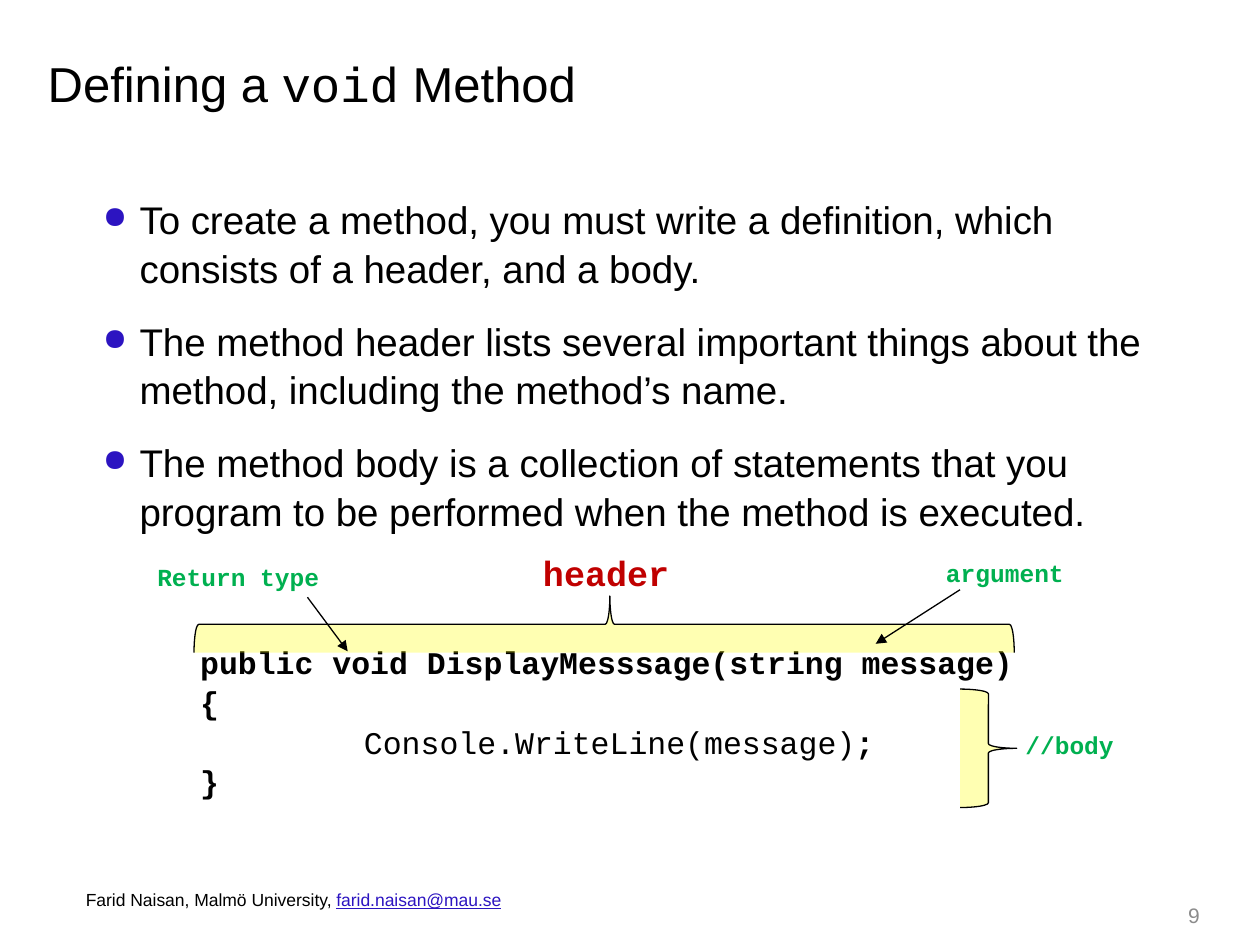
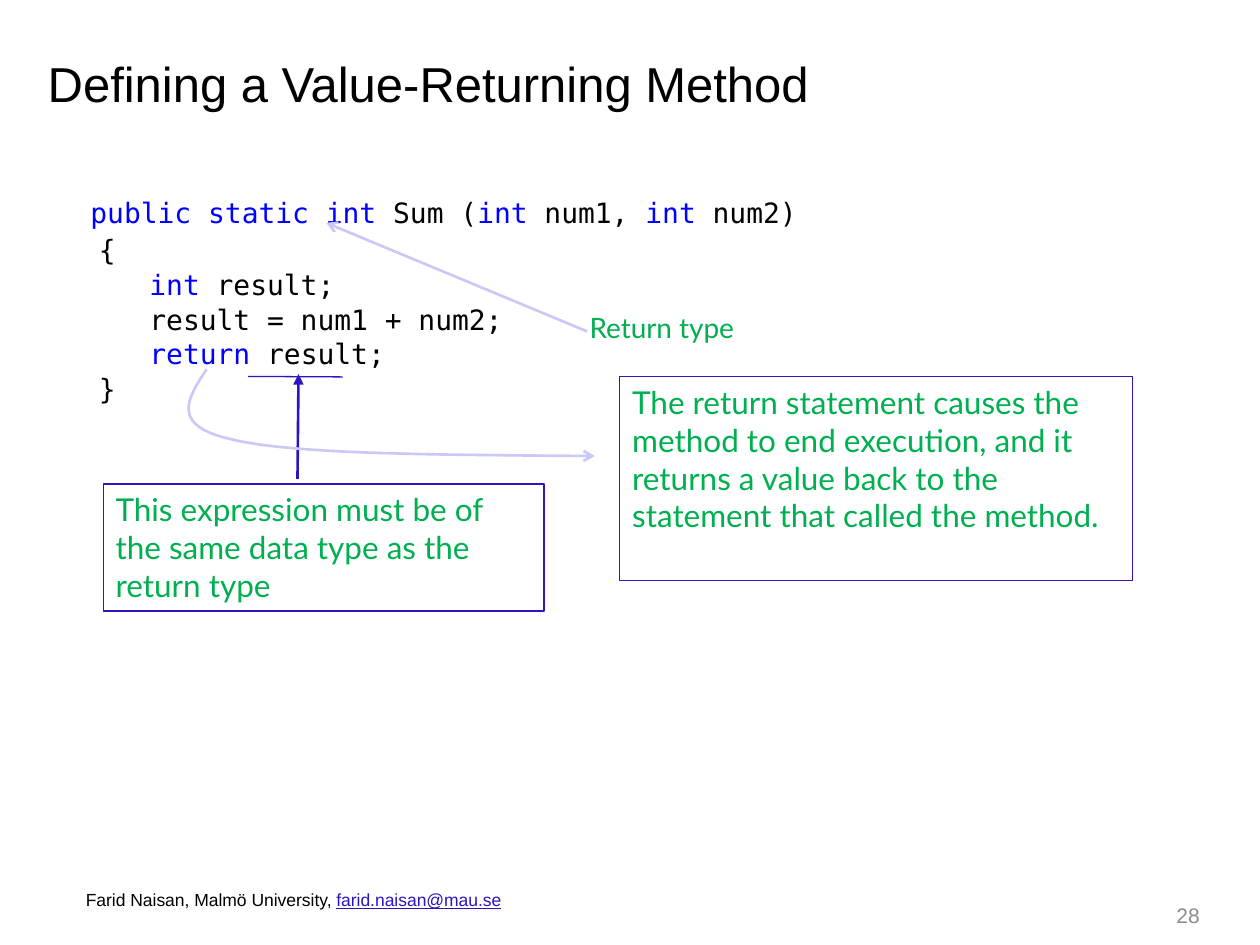
"""Build two lecture slides on defining methods, with annotated code."""
import dataclasses

import lxml.etree
import pptx
import pptx.dml.color
import pptx.enum.shapes
import pptx.enum.text
import pptx.oxml.ns
import pptx.util

Pt = pptx.util.Pt
RGB = pptx.dml.color.RGBColor.from_string
qn = pptx.oxml.ns.qn
ALIGN = pptx.enum.text.PP_ALIGN
ANCHOR = pptx.enum.text.MSO_ANCHOR
SHAPE = pptx.enum.shapes.MSO_SHAPE
STRAIGHT = pptx.enum.shapes.MSO_CONNECTOR.STRAIGHT


@dataclasses.dataclass(frozen=True)
class Theme:
    black: str = "000000"
    accent: str = "2C14C1"
    pale: str = "CAC8F6"
    green: str = "00B050"
    red: str = "C00000"
    keyword: str = "0000FF"
    gray: str = "8C8C8C"
    yellow: str = "FFFF00"
    sans: str = "Arial"
    code: str = "Courier New"
    mono: str = "DejaVu Sans Mono"
    note: str = "Lato"
    title_size: float = 28
    body_size: float = 22
    header_size: float = 20
    code_size: float = 18
    listing_size: float = 16
    label_size: float = 14
    number_size: float = 12
    footer_size: float = 10
    thin: float = 0.75
    thick: float = 1.5


theme = Theme()


def write_text(shape, paragraphs, font, size, color, bold=False, spacing=1.0, align=ALIGN.LEFT, anchor=ANCHOR.TOP):
    """Fill a shape with paragraphs of (text, font changes) runs."""
    frame = shape.text_frame
    frame.word_wrap = True
    frame.vertical_anchor = anchor
    for index, runs in enumerate(paragraphs):
        paragraph = frame.paragraphs[0] if index == 0 else frame.add_paragraph()
        paragraph.alignment = align
        paragraph.line_spacing = spacing
        paragraph.font.name = font
        paragraph.font.size = Pt(size)
        paragraph.font.bold = bold
        paragraph.font.color.rgb = RGB(color)
        for text, changes in runs:
            run = paragraph.add_run()
            run.text = text
            for name, value in changes.items():
                if name == "color":
                    run.font.color.rgb = RGB(value)
                else:
                    setattr(run.font, name, value)
    return frame


def style_line(shape, color, width, arrow=None):
    """Set the line of a shape or connector, without shadow."""
    shape.line.color.rgb = RGB(color)
    shape.line.width = Pt(width)
    properties = shape._element.spPr
    if arrow:
        lxml.etree.SubElement(properties.find(qn("a:ln")), qn("a:tailEnd"), type=arrow)
    if properties.find(qn("a:effectLst")) is None:
        lxml.etree.SubElement(properties, qn("a:effectLst"))


presentation = pptx.Presentation()
presentation.slide_width = Pt(720)
presentation.slide_height = Pt(540)

titles = [
    ("9", [("Defining a ", {}), ("void", {"name": theme.code}), (" Method", {})]),
    ("28", [("Defining a Value-Returning Method", {})]),
]
footer = [
    ("Farid Naisan, Malmö University, ", {}),
    ("farid.naisan@mau.se", {"color": theme.accent, "underline": True}),
]
slides = []
for number, title in titles:
    slide = presentation.slides.add_slide(presentation.slide_layouts[6])
    box = slide.shapes.add_textbox(Pt(20.2), Pt(27.4), Pt(672.5), Pt(39.6))
    write_text(box, [title], theme.sans, theme.title_size, theme.black, anchor=ANCHOR.MIDDLE)
    box = slide.shapes.add_textbox(Pt(639.4), Pt(508.3), Pt(53.3), Pt(28.8))
    write_text(box, [[(number, {})]], theme.sans, theme.number_size, theme.gray,
               align=ALIGN.RIGHT, anchor=ANCHOR.MIDDLE)
    box = slide.shapes.add_textbox(Pt(29.5), Pt(501.1), Pt(276.5), Pt(22.3))
    write_text(box, [footer], theme.sans, theme.footer_size, theme.black,
               align=ALIGN.CENTER, anchor=ANCHOR.BOTTOM)
    slides.append(slide)
void_slide, value_slide = slides

points = [
    "To create a method, you must write a definition, which consists of a header, and a body.",
    "The method header lists several important things about the method, including the method’s name.",
    "The method body is a collection of statements that you program to be performed when the method is executed.",
]
box = void_slide.shapes.add_textbox(Pt(51.8), Pt(107.3), Pt(617), Pt(195))
frame = write_text(box, [[(point, {})] for point in points], theme.sans, theme.body_size, theme.black, spacing=1.05)
for paragraph in frame.paragraphs:
    paragraph.space_after = Pt(14)
    properties = paragraph._p.get_or_add_pPr()
    properties.set("marL", str(Pt(20.9)))
    properties.set("indent", str(-Pt(20.9)))
    bullet_color = lxml.etree.Element(qn("a:buClr"))
    lxml.etree.SubElement(bullet_color, qn("a:srgbClr"), val=theme.accent)
    bullet_size = lxml.etree.Element(qn("a:buSzPct"), val="80000")
    bullet = lxml.etree.Element(qn("a:buChar"), char="●")
    default_font = properties.find(qn("a:defRPr"))
    for element in (bullet_color, bullet_size, bullet):
        default_font.addprevious(element)

method = [
    [("public void DisplayMesssage(string message)", {})],
    [("{", {})],
    [("\tConsole.WriteLine(message)", {"bold": False}), (";\t", {}),
     ("//body", {"size": Pt(theme.label_size), "color": theme.green})],
    [("}", {})],
]
box = void_slide.shapes.add_textbox(Pt(107.3), Pt(362.9), Pt(597.6), Pt(94.3))
frame = write_text(box, method, theme.code, theme.code_size, theme.black, bold=True, spacing=1.05)
tabs = lxml.etree.Element(qn("a:tabLst"))
for position in (93.6, 471.6):
    lxml.etree.SubElement(tabs, qn("a:tab"), pos=str(Pt(position)), algn="l")
frame.paragraphs[2]._p.pPr.find(qn("a:defRPr")).addprevious(tabs)

labels = [
    ("argument", 533.5, 314.6, 146.2, 24.5, theme.label_size, theme.green, ALIGN.LEFT),
    ("header", 286.6, 310.3, 119.5, 31.7, theme.header_size, theme.red, ALIGN.CENTER),
    ("Return type", 82.8, 316.8, 146.2, 24.5, theme.label_size, theme.green, ALIGN.LEFT),
]
for text, left, top, width, height, size, color, align in labels:
    box = void_slide.shapes.add_textbox(Pt(left), Pt(top), Pt(width), Pt(height))
    write_text(box, [[(text, {})]], theme.code, size, color, bold=True, spacing=1.05, align=align)

braces = [
    (329, 122.4, 32.4, 468.7, 270, 0.507),
    (548.6, 393.8, 32.4, 67.7, 0, 0.5),
]
for left, top, width, height, rotation, tip in braces:
    brace = void_slide.shapes.add_shape(SHAPE.RIGHT_BRACE, Pt(left), Pt(top), Pt(width), Pt(height))
    brace.rotation = rotation
    brace.adjustments[0] = 0.083
    brace.adjustments[1] = tip
    brace.fill.solid()
    brace.fill.fore_color.rgb = RGB(theme.yellow)
    fill_color = brace._element.spPr.find(qn("a:solidFill")).find(qn("a:srgbClr"))
    lxml.etree.SubElement(fill_color, qn("a:alpha"), val="30000")
    style_line(brace, theme.black, theme.thin)

listing = [
    (14.45, [("public static int", True), (" Sum (", False), ("int", True),
             (" num1, ", False), ("int", True), (" num2)", False)]),
    (19.26, [("{", False)]),
    (48.16, [("int ", True), ("result;", False)]),
    (48.16, [("result = num1 + num2;", False)]),
    (48.16, [("return ", True), ("result;", False)]),
    (19.26, [("}", False)]),
]
lines = [[(text, {"color": theme.keyword} if keyword else {}) for text, keyword in runs] for _, runs in listing]
box = value_slide.shapes.add_textbox(Pt(30.2), Pt(99.4), Pt(656), Pt(384.5))
frame = write_text(box, lines, theme.mono, theme.listing_size, theme.black, spacing=1.03)
frame.margin_top = Pt(11.5)
frame.paragraphs[0].space_after = Pt(1.9)
for paragraph, (indent, _) in zip(frame.paragraphs, listing):
    paragraph._p.pPr.set("marL", str(Pt(indent)))
    paragraph._p.pPr.set("indent", "0")

box = value_slide.shapes.add_textbox(Pt(329.8), Pt(174.2), Pt(109.4), Pt(26.6))
write_text(box, [[("Return type", {})]], theme.note, theme.listing_size, theme.green)

notes = [
    ("This expression must be of the same data type as the return type", 59, 276.5, 252, 72.7),
    ("The return statement causes the method to end execution, and it returns a value back to "
     "the statement that called the method.", 354.2, 215.3, 293, 116.6),
]
for text, left, top, width, height in notes:
    note = value_slide.shapes.add_shape(SHAPE.RECTANGLE, Pt(left), Pt(top), Pt(width), Pt(height))
    note.fill.background()
    style_line(note, theme.accent, theme.thin)
    write_text(note, [[(text, {})]], theme.note, theme.code_size, theme.green)

connectors = [
    (void_slide, 175.7, 341.3, 198.7, 372.2, theme.black, theme.thin, "triangle"),
    (void_slide, 548.6, 337, 500.4, 367.9, theme.black, theme.thin, "triangle"),
    (value_slide, 335.5, 189.4, 186.5, 127.4, theme.pale, theme.thick, "arrow"),
    (value_slide, 141.8, 215.1, 195.8, 215.4, theme.accent, theme.thin, None),
    (value_slide, 170, 273.6, 170.6, 213.8, theme.accent, theme.thick, "triangle"),
]
for slide, start_x, start_y, end_x, end_y, color, width, arrow in connectors:
    connector = slide.shapes.add_connector(STRAIGHT, Pt(start_x), Pt(start_y), Pt(end_x), Pt(end_y))
    style_line(connector, color, width, arrow)

bends = [
    [(118.1, 211), (107.3, 227.5), (96.5, 243.4), (133.2, 251.3)],
    [(133.2, 251.3), (169.9, 259.9), (254.9, 259.9), (339.8, 260.6)],
]
steps = 20
curve = []
for bend in bends:
    for step in range(1, steps + 1):
        t = step / steps
        weights = ((1 - t) ** 3, 3 * t * (1 - t) ** 2, 3 * t ** 2 * (1 - t), t ** 3)
        curve.append(tuple(Pt(sum(w * point[axis] for w, point in zip(weights, bend))) for axis in (0, 1)))
start_x, start_y = bends[0][0]
builder = value_slide.shapes.build_freeform(Pt(start_x), Pt(start_y))
builder.add_line_segments(curve, close=False)
curved_arrow = builder.convert_to_shape()
curved_arrow.fill.background()
style_line(curved_arrow, theme.pale, theme.thick, "arrow")

presentation.save("out.pptx")
